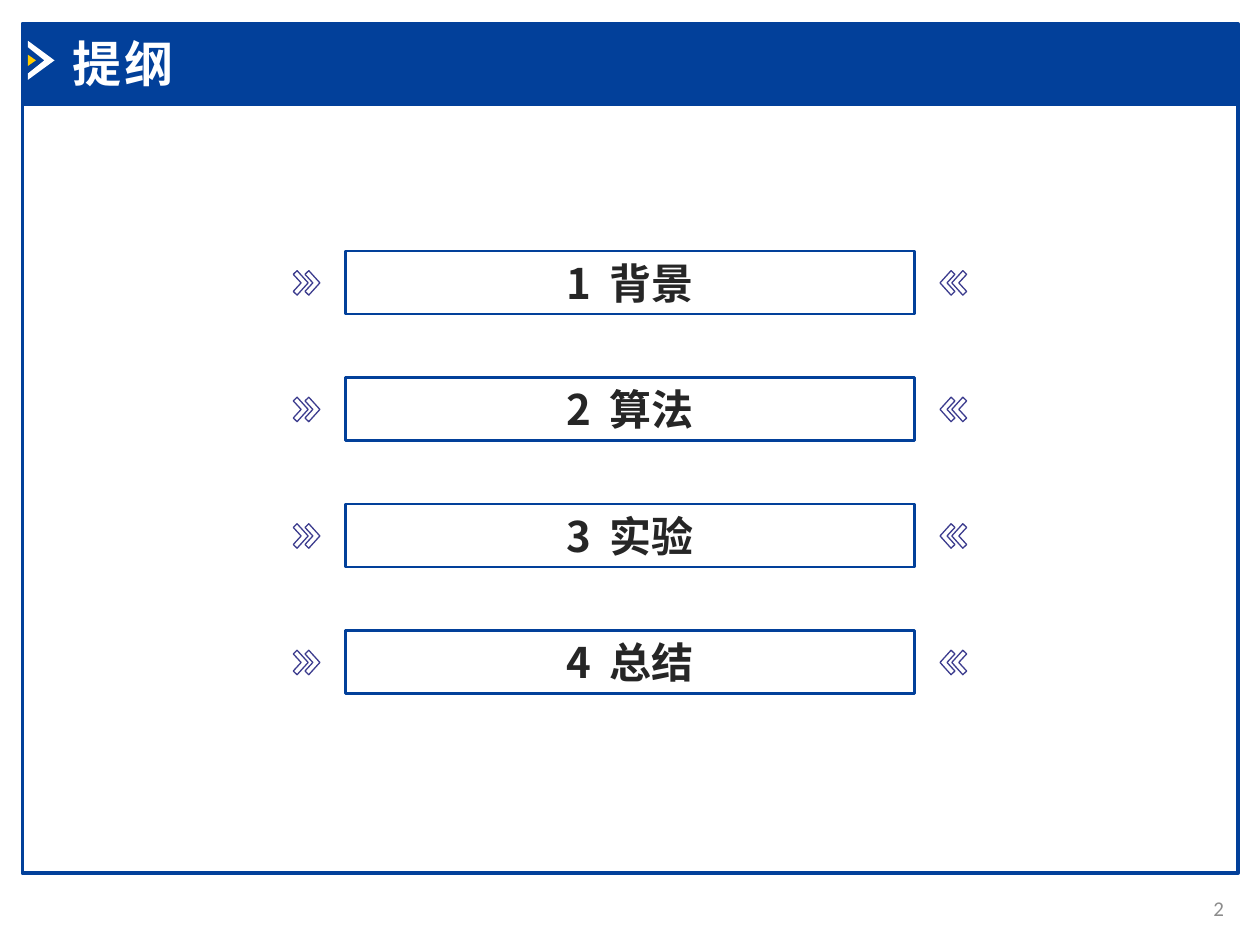
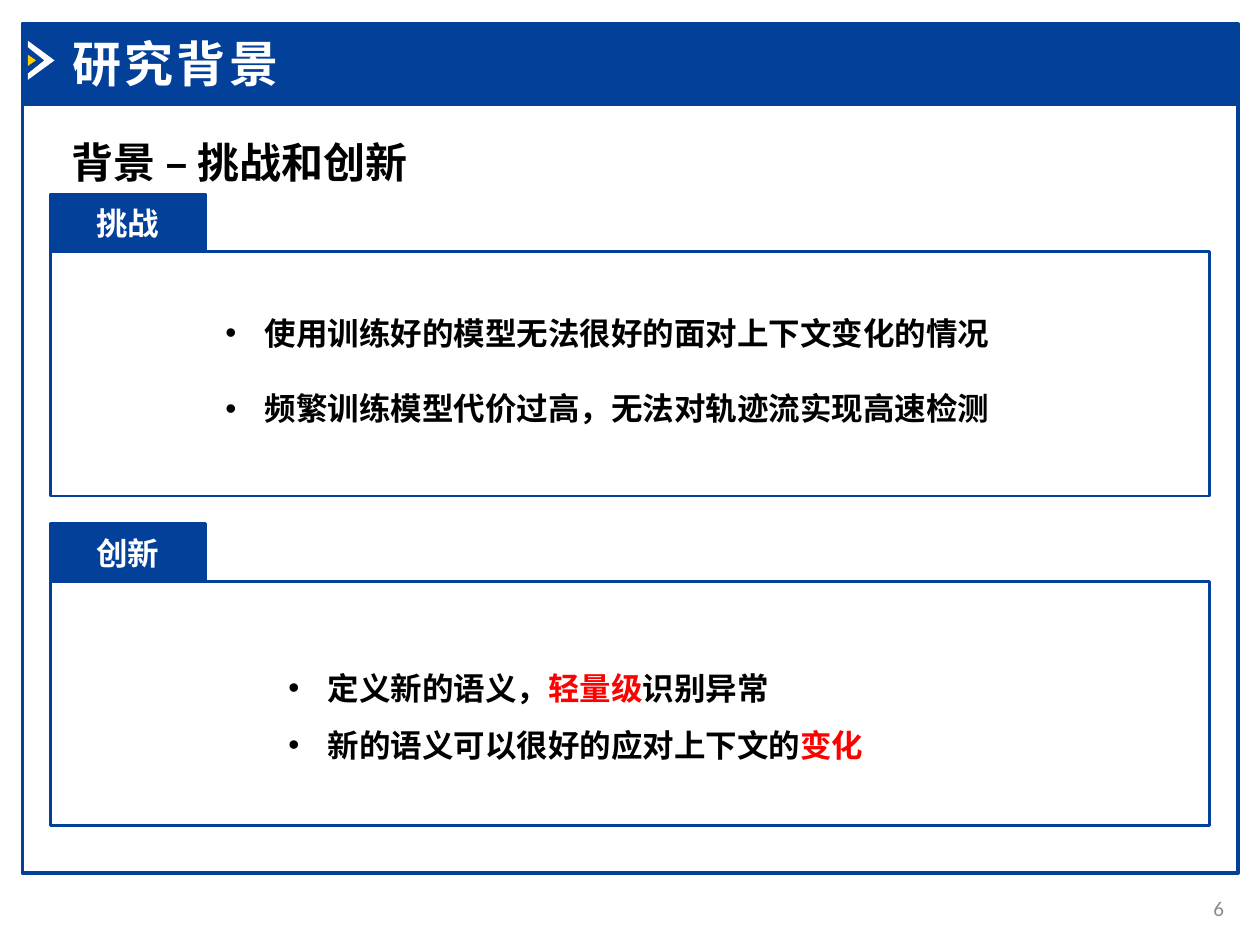
"""Build two slides of a research talk: the outline, and its challenges and innovations."""
from lxml.etree import SubElement
from pptx import Presentation
from pptx.dml.color import RGBColor
from pptx.enum.shapes import MSO_SHAPE
from pptx.enum.text import MSO_ANCHOR, MSO_AUTO_SIZE, PP_ALIGN
from pptx.oxml.ns import qn
from pptx.util import Pt

COLORS = {
    "blue": "02409A", "white": "FFFFFF", "yellow": "FFCC00", "gray": "8C8C8C",
    "dark": "262626", "violet": "3C3C8E", "black": "000000", "red": "FF0000",
}
LATIN, CHINESE = "Calibri", "Noto Sans CJK SC"
PAGE_WIDTH, PAGE_HEIGHT = 720, 540
FRAME_LEFT, FRAME_WIDTH = 12.8, 694.6
BAND_TOP, BAND_BOTTOM, FRAME_BOTTOM = 13.6, 59.7, 499
CHEVRON = [(2.2, 0), (0, 2.1), (4.5, 7), (0, 11.9), (2.2, 14), (8.5, 7)]


def rgb(name):
    return RGBColor.from_string(COLORS[name])


def paint(shape, fill=None, line=None, line_width=1.5):
    shape.shadow.inherit = False
    if fill:
        shape.fill.solid()
        shape.fill.fore_color.rgb = rgb(fill)
    else:
        shape.fill.background()
    if line:
        shape.line.color.rgb = rgb(line)
        shape.line.width = Pt(line_width)
    else:
        shape.line.fill.background()


def add_rectangle(page, left, top, width, height, **look):
    box = page.shapes.add_shape(MSO_SHAPE.RECTANGLE, Pt(left), Pt(top), Pt(width), Pt(height))
    paint(box, **look)
    return box


def add_outline(page, points, **look):
    start, *others = [(Pt(x), Pt(y)) for x, y in points]
    builder = page.shapes.build_freeform(*start)
    builder.add_line_segments(others, close=True)
    paint(builder.convert_to_shape(), **look)


def add_text_box(page, left, top, width, height):
    box = page.shapes.add_textbox(Pt(left), Pt(top), Pt(width), Pt(height))
    box.text_frame.word_wrap = True
    return box


def add_bullet(paragraph, margin, hanging=22.5):
    properties = paragraph._p.get_or_add_pPr()
    properties.set("marL", str(Pt(margin)))
    properties.set("indent", str(-Pt(hanging)))
    SubElement(properties, qn("a:buFont")).set("typeface", "Arial")
    SubElement(properties, qn("a:buChar")).set("char", "•")


def write(box, *spans, size=18, color="black", font=LATIN, bold=True, align=PP_ALIGN.LEFT,
          anchor=MSO_ANCHOR.TOP, spacing=0, bullet_margin=None, level=0,
          line_spacing=None, space_before=0):
    """Add a paragraph; a span is text, or text with its own color and letter spacing."""
    frame = box.text_frame
    frame.vertical_anchor = anchor
    paragraph = frame.add_paragraph() if frame.text else frame.paragraphs[0]
    if bullet_margin:
        add_bullet(paragraph, bullet_margin)
    paragraph.alignment = align
    paragraph.level = level
    paragraph.space_before = Pt(space_before)
    if line_spacing:
        paragraph.line_spacing = line_spacing
    for span in spans:
        text, changes = span if isinstance(span, tuple) else (span, {})
        run = paragraph.add_run()
        run.text = text
        run.font.size, run.font.bold, run.font.name = Pt(size), bold, font
        run.font.color.rgb = rgb(changes.get("color", color))
        properties = run._r.get_or_add_rPr()
        SubElement(properties, qn("a:ea")).set("typeface", CHINESE)
        gap = changes.get("spacing", spacing)
        if gap:
            properties.set("spc", str(int(gap * 100)))


def add_page(deck, heading, number):
    page = deck.slides.add_slide(deck.slide_layouts[5])
    add_rectangle(page, FRAME_LEFT, BAND_BOTTOM, FRAME_WIDTH, FRAME_BOTTOM - BAND_BOTTOM,
                  line="blue", line_width=2)
    add_rectangle(page, FRAME_LEFT, BAND_TOP, FRAME_WIDTH, BAND_BOTTOM - BAND_TOP,
                  fill="blue", line="blue", line_width=2)
    add_outline(page, [(16, 23.3), (31.2, 34.5), (16, 45.6), (16, 42), (25.4, 34.5), (16, 27)],
                fill="white")
    add_outline(page, [(16, 31.3), (20.6, 34.5), (16, 37.7)], fill="yellow")
    title = page.shapes.title
    title.left, title.top, title.width, title.height = Pt(34), Pt(15.8), Pt(256), Pt(41)
    title.text_frame.auto_size = MSO_AUTO_SIZE.NONE
    page.shapes.element.append(title.element)
    write(title, heading, size=28, color="white", spacing=2)
    footer = add_text_box(page, 664, 504.7, 42.5, 28.8)
    write(footer, str(number), size=12, color="gray", bold=False, align=PP_ALIGN.RIGHT,
          anchor=MSO_ANCHOR.MIDDLE)
    return page


def add_chevrons(page, top):
    for left in (167.6, 174.3):
        points = [(left + x, top + y) for x, y in CHEVRON]
        mirrored = [(PAGE_WIDTH - x, y) for x, y in points]
        for side in (points, mirrored):
            add_outline(page, side, line="violet", line_width=0.75)


def add_outline_entry(page, top, number, topic):
    box = add_rectangle(page, 197.3, top, 325.4, 36, line="blue")
    write(box, str(number), (" ", {"spacing": 5.4}), topic, size=24, color="dark",
          font=CHINESE, align=PP_ALIGN.CENTER)
    add_chevrons(page, top + 11.3)


def add_panel(page, top, label):
    add_rectangle(page, 28.8, top, 662.4, 139.7, line="blue")
    tab = add_rectangle(page, 28.8, top - 33, 88.6, 33, fill="blue", line="blue")
    write(tab, label, color="white", align=PP_ALIGN.CENTER, anchor=MSO_ANCHOR.MIDDLE)


def add_list(page, top, items, first_gap=0, **look):
    box = add_text_box(page, 121.7, top, 458, 94.3)
    for index, spans in enumerate(items):
        write(box, *spans, font=CHINESE, space_before=first_gap if index else 0, **look)


def main():
    deck = Presentation()
    deck.slide_width, deck.slide_height = Pt(PAGE_WIDTH), Pt(PAGE_HEIGHT)

    agenda = add_page(deck, "提纲", 2)
    for index, topic in enumerate(["背景", "算法", "实验", "总结"]):
        add_outline_entry(agenda, 143.4 + 72.3 * index, index + 1, topic)

    background = add_page(deck, "研究背景", 6)
    subtitle = add_text_box(background, 34, 74.2, 309.6, 36)
    write(subtitle, "背景 – 挑战和创新", size=24)
    add_panel(background, 143.8, "挑战")
    add_list(background, 175.7,
             [["使用训练好的模型无法很好的面对上下文变化的情况"],
              ["频繁训练模型代价过高，无法对轨迹流实现高速检测"]],
             first_gap=21.6, bullet_margin=22.5)
    add_panel(background, 332.2, "创新")
    red = {"color": "red"}
    add_list(background, 368,
             [["定义新的语义，", ("轻量级", red), "识别异常"],
              ["新的语义可以很好的应对上下文的", ("变化", red)]],
             bullet_margin=58.5, level=1, line_spacing=1.5, align=PP_ALIGN.JUSTIFY)

    deck.save("out.pptx")


if __name__ == "__main__":
    main()
